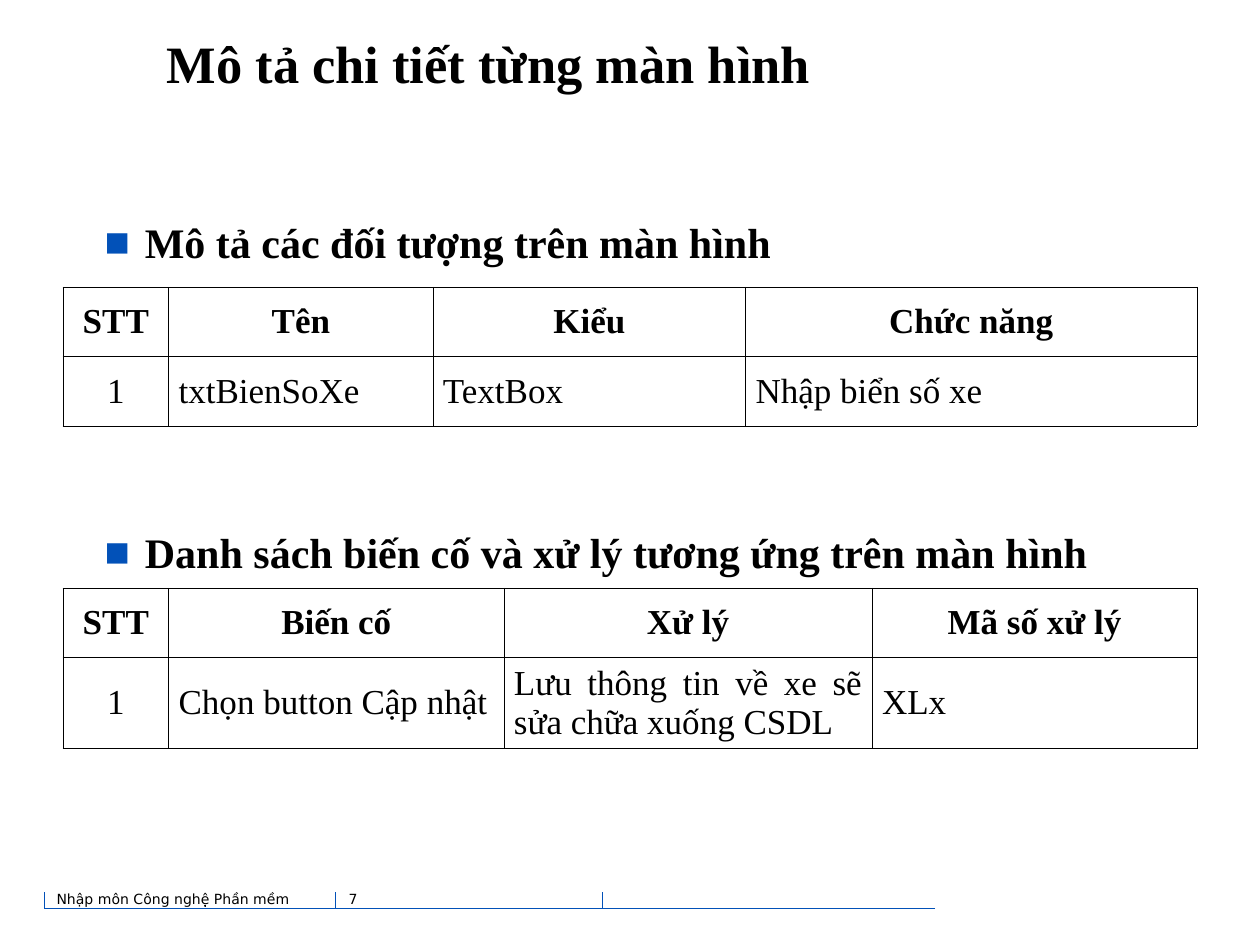
from dataclasses import dataclass

from lxml import etree
from pptx import Presentation
from pptx.dml.color import RGBColor
from pptx.enum import shapes, text
from pptx.oxml import ns
from pptx.util import Cm, Pt


@dataclass(frozen=True)
class Theme:
    ink: str = "000000"
    accent: str = "0251B8"
    serif: str = "Times New Roman"
    sans: str = "DejaVu Sans"
    title: int = 30
    heading: int = 24
    cell: int = 20
    footer: int = 8
    rule: float = 0.75
    border: float = 0.45


THEME = Theme()
ALIGN = text.PP_ALIGN
MIDDLE = text.MSO_ANCHOR.MIDDLE
TABLE_LEFT = 1.27
FOOTER_BASE = 18.31
FOOTER_TICK_TOP = 17.98

OBJECTS = [
    ["STT", "Tên", "Kiểu", "Chức năng"],
    ["1", "txtBienSoXe", "TextBox", "Nhập biển số xe"],
]
EVENTS = [
    ["STT", "Biến cố", "Xử lý", "Mã số xử lý"],
    ["1", "Chọn button Cập nhật", "Lưu thông tin về xe sẽ sửa chữa xuống CSDL", "XLx"],
]
HEADINGS = [
    "Mô tả các đối tượng trên màn hình",
    "Danh sách biến cố và xử lý tương ứng trên màn hình",
]


def place(part, left, top, width, height):
    part.left, part.top = Cm(left), Cm(top)
    part.width, part.height = Cm(width), Cm(height)


def set_frame(frame, inset):
    frame.word_wrap = True
    frame.auto_size = text.MSO_AUTO_SIZE.NONE
    frame.margin_left = frame.margin_right = Cm(inset)
    frame.margin_top = frame.margin_bottom = Cm(inset)


def style(paragraph, size, align, bold=False, face=THEME.serif):
    paragraph.alignment = align
    for run in paragraph.runs:
        run.font.size = Pt(size)
        run.font.name = face
        run.font.bold = bold
        run.font.color.rgb = RGBColor.from_string(THEME.ink)


def add_bullet(paragraph):
    props = paragraph._p.get_or_add_pPr()
    props.set("marL", str(Cm(0.81)))
    props.set("indent", str(-Cm(0.81)))
    tint = etree.SubElement(props, ns.qn("a:buClr"))
    etree.SubElement(tint, ns.qn("a:srgbClr"), val=THEME.accent)
    etree.SubElement(props, ns.qn("a:buChar"), char="■")


def fill_title(title):
    place(title, 0.43, 0.18, 18.85, 2.16)
    frame = title.text_frame
    set_frame(frame, 0)
    frame.vertical_anchor = MIDDLE
    frame.text = "Mô tả chi tiết từng màn hình"
    style(frame.paragraphs[0], THEME.title, ALIGN.CENTER, bold=True)


def fill_headings(body):
    place(body, 2.11, 4.17, 21.17, 12.34)
    frame = body.text_frame
    set_frame(frame, 0)
    frame.text = "\n".join(HEADINGS)
    for paragraph, before in zip(frame.paragraphs, (0, 138)):
        add_bullet(paragraph)
        paragraph.line_spacing = 1.2
        paragraph.space_before = Pt(before)
        paragraph.space_after = Pt(4.5)
        style(paragraph, THEME.heading, ALIGN.JUSTIFY, bold=True)


def add_borders(cell):
    props = cell._tc.get_or_add_tcPr()
    for side in ("a:lnL", "a:lnR", "a:lnT", "a:lnB"):
        edge = etree.SubElement(props, ns.qn(side), w=str(Pt(THEME.border)))
        paint = etree.SubElement(edge, ns.qn("a:solidFill"))
        etree.SubElement(paint, ns.qn("a:srgbClr"), val=THEME.ink)


def add_grid(slide, rows, top, widths, heights):
    frame = slide.shapes.add_table(
        len(rows), len(widths), Cm(TABLE_LEFT), Cm(top), Cm(sum(widths)), Cm(sum(heights))
    )
    table = frame.table
    table.first_row = table.horz_banding = False
    for column, width in zip(table.columns, widths):
        column.width = Cm(width)
    for row, height in zip(table.rows, heights):
        row.height = Cm(height)
    for r, row in enumerate(rows):
        for c, words in enumerate(row):
            cell = table.cell(r, c)
            add_borders(cell)
            cell.fill.background()
            cell.vertical_anchor = MIDDLE
            cell.margin_left = cell.margin_right = Cm(0.2)
            cell.margin_top = cell.margin_bottom = Cm(0.13)
            cell.text_frame.text = words
            centred = r == 0 or c == 0
            style(
                cell.text_frame.paragraphs[0],
                THEME.cell,
                ALIGN.CENTER if centred else ALIGN.JUSTIFY,
                bold=r == 0,
            )


def add_rule(slide, x1, y1, x2, y2):
    rule = slide.shapes.add_connector(
        shapes.MSO_CONNECTOR.STRAIGHT, Cm(x1), Cm(y1), Cm(x2), Cm(y2)
    )
    rule.line.color.rgb = RGBColor.from_string(THEME.accent)
    rule.line.width = Pt(THEME.rule)
    etree.SubElement(rule._element.spPr, ns.qn("a:effectLst"))


def add_footer_text(slide, words, left, width):
    note = slide.shapes.add_textbox(Cm(left), Cm(17.86), Cm(width), Cm(0.64))
    set_frame(note.text_frame, 0.1)
    note.text_frame.text = words
    style(note.text_frame.paragraphs[0], THEME.footer, ALIGN.LEFT, face=THEME.sans)


def add_footer(slide):
    add_rule(slide, 18.85, FOOTER_BASE, 0.89, FOOTER_BASE)
    for x in (0.89, 6.76, 12.14):
        add_rule(slide, x, FOOTER_BASE, x, FOOTER_TICK_TOP)
    add_footer_text(slide, "Nhập môn Công nghệ Phần mềm", 1.04, 5.56)
    add_footer_text(slide, "7", 6.93, 3.18)


def main():
    deck = Presentation()
    deck.slide_width, deck.slide_height = Cm(25.4), Cm(19.05)
    slide = deck.slides.add_slide(deck.slide_layouts[1])
    fill_title(slide.shapes.title)
    fill_headings(slide.placeholders[1])
    add_footer(slide)
    add_grid(slide, OBJECTS, 5.79, (2.13, 5.33, 6.3, 9.1), (1.4, 1.4))
    add_grid(slide, EVENTS, 11.86, (2.13, 6.76, 7.42, 6.55), (1.4, 1.7))
    deck.save("out.pptx")


if __name__ == "__main__":
    main()
